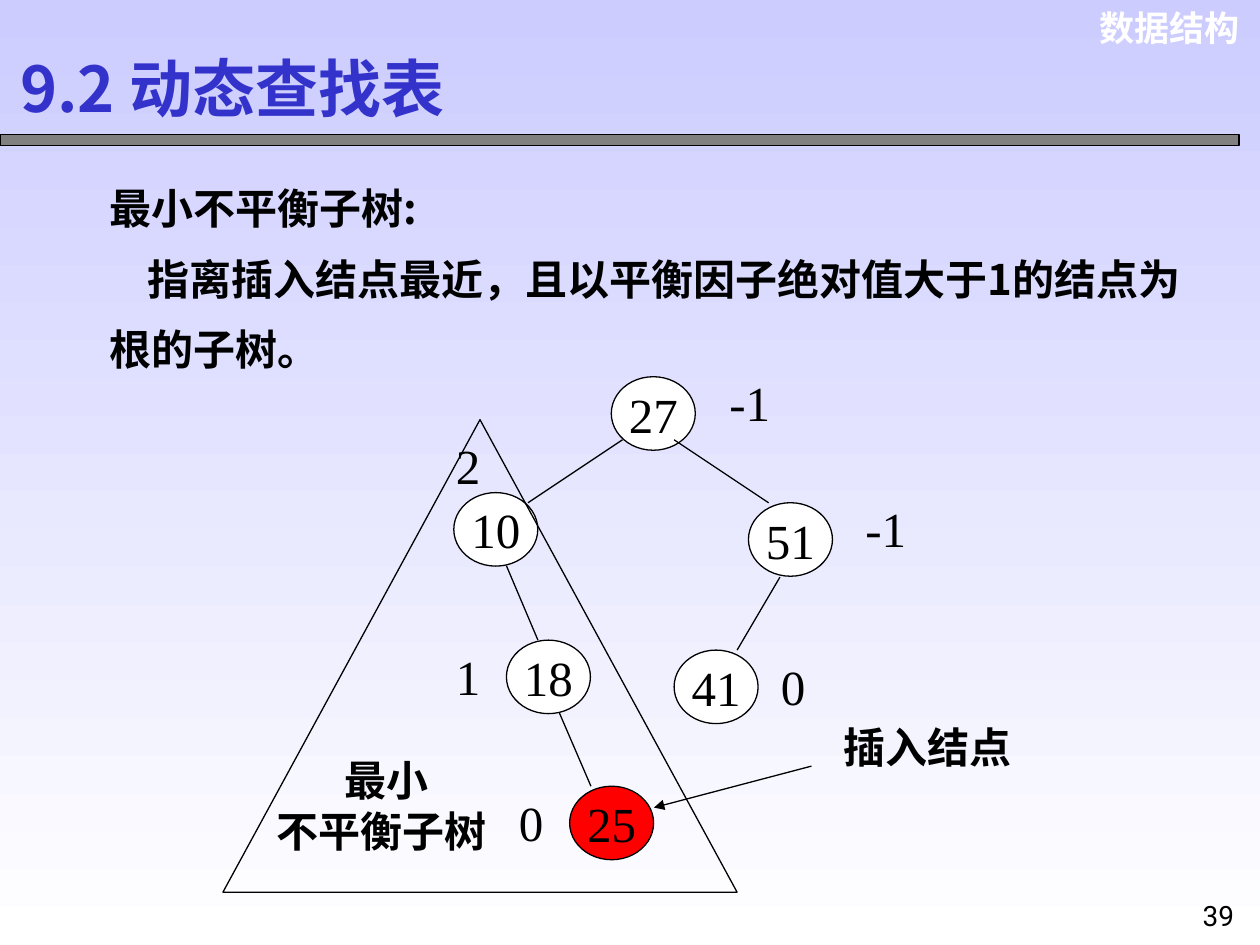
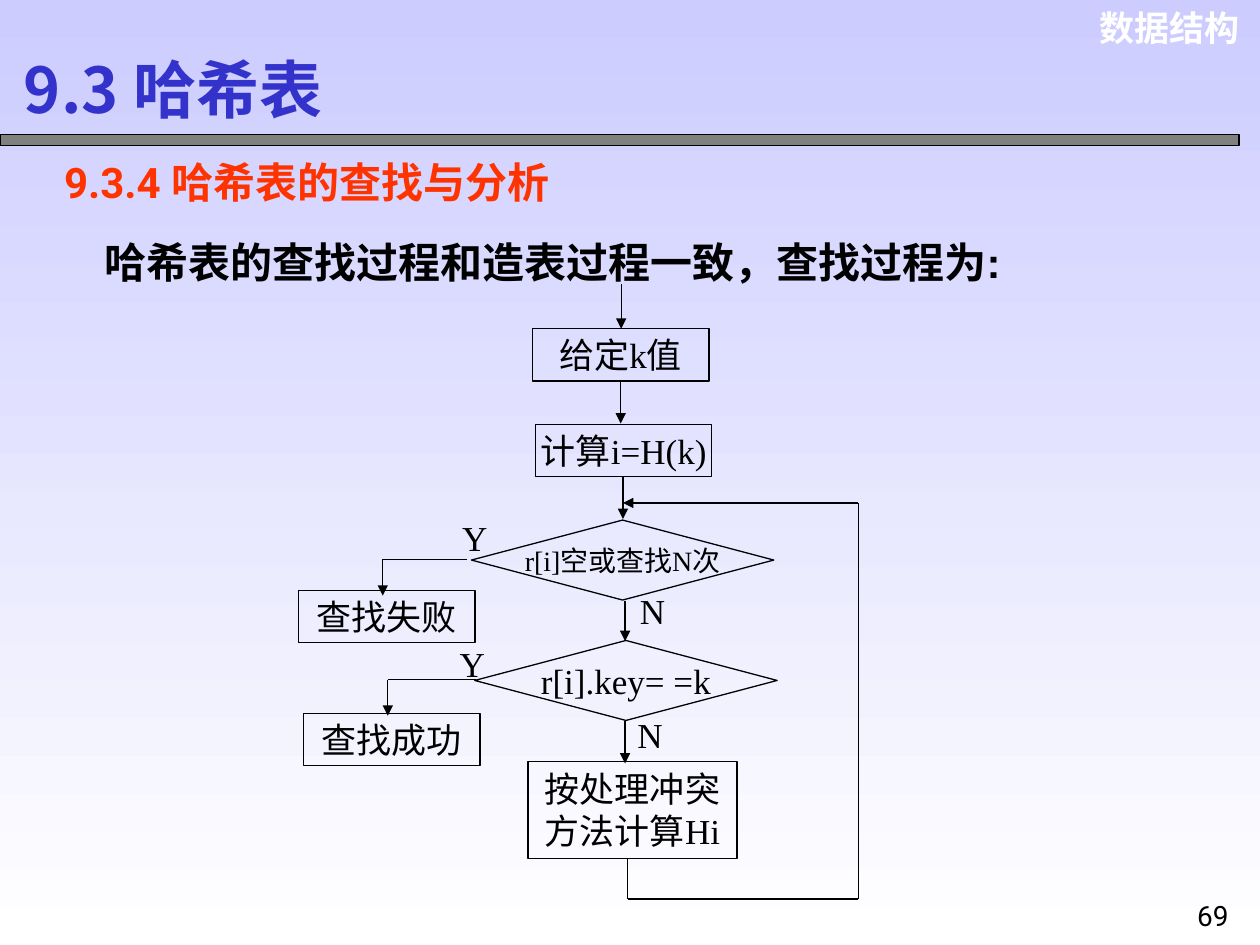
from dataclasses import dataclass, field
from itertools import pairwise

from lxml.etree import SubElement
from pptx import Presentation
from pptx.dml.color import RGBColor
from pptx.enum.shapes import MSO_CONNECTOR, MSO_SHAPE
from pptx.enum.text import MSO_ANCHOR, PP_ALIGN
from pptx.oxml.ns import qn
from pptx.util import Pt


@dataclass(frozen=True)
class Theme:
    background_top: str = "CCCCFF"
    white: str = "FFFFFF"
    black: str = "000000"
    bar: str = "808080"
    inserted: str = "FF0000"
    line_width: float = 0.75
    east_asian_font: str = "Noto Sans CJK SC"
    # Text roles: font, size, bold, colour
    text: dict = field(default_factory=lambda: {
        "title": ("Noto Sans CJK SC", 36, True, "3333CC"),
        "header": ("Arial", 20, True, "FFFFFF"),
        "heading": ("Roboto", 24, True, "FF3300"),
        "body": ("Noto Sans CJK SC", 24, True, "000000"),
        "lead": ("Arial", 24, True, "000000"),
        "node": ("Times New Roman", 28, False, "000000"),
        "flow": ("Times New Roman", 20, False, "000000"),
        "flow small": ("Times New Roman", 16, False, "000000"),
        "page": ("Roboto", 16, False, "000000"),
    })


THEME = Theme()


# ---- Text ----

def color(value):
    return RGBColor.from_string(value)


def points(values):
    return [Pt(value) for value in values]


def write_text(text_frame, text, role, align=PP_ALIGN.LEFT, spacing=None, indents=()):
    """Write one paragraph per line; indents are first-line indents by line."""
    name, size, bold, rgb = THEME.text[role]
    font_format = {"name": name, "size": Pt(size), "bold": bold}
    for number, line in enumerate(text.split("\n")):
        paragraph = text_frame.paragraphs[0] if number == 0 else text_frame.add_paragraph()
        paragraph.alignment = align
        if spacing:
            paragraph.line_spacing = spacing
        if number < len(indents):
            paragraph._p.get_or_add_pPr().set("indent", str(Pt(indents[number])))
        run = paragraph.add_run()
        run.text = line
        for attribute, value in font_format.items():
            setattr(run.font, attribute, value)
        run.font.color.rgb = color(rgb)
        SubElement(run._r.get_or_add_rPr(), qn("a:ea"), typeface=THEME.east_asian_font)


def add_text(slide, box, text, role, wrap=True, **layout):
    text_frame = slide.shapes.add_textbox(*points(box)).text_frame
    text_frame.word_wrap = wrap
    write_text(text_frame, text, role, **layout)


# ---- Shapes and lines ----

def add_outlined(slide, kind, box, fill=None, text=None, role=None):
    shape = slide.shapes.add_shape(kind, *points(box))
    shape.shadow.inherit = False
    if fill:
        shape.fill.solid()
        shape.fill.fore_color.rgb = color(fill)
    else:
        shape.fill.background()
    shape.line.color.rgb = color(THEME.black)
    shape.line.width = Pt(THEME.line_width)
    if text:
        text_frame = shape.text_frame
        text_frame.word_wrap = False
        text_frame.vertical_anchor = MSO_ANCHOR.MIDDLE
        write_text(text_frame, text, role, PP_ALIGN.CENTER)


def add_route(slide, *stops, arrow=False):
    """Join the stops with straight lines, with an arrowhead at the last one."""
    for start, end in pairwise(stops):
        connector = slide.shapes.add_connector(
            MSO_CONNECTOR.STRAIGHT, *points((*start, *end)))
        connector.line.color.rgb = color(THEME.black)
        connector.line.width = Pt(THEME.line_width)
        properties = connector._element.spPr
        if arrow and end == stops[-1]:
            SubElement(properties.find(qn("a:ln")), qn("a:tailEnd"), type="triangle")
        SubElement(properties, qn("a:effectLst"))


# ---- Shared slide frame ----

def set_background(presentation):
    fill = presentation.slide_master.background.fill
    fill.gradient()
    fill.gradient_angle = 270
    for stop, position, rgb in zip(
            fill.gradient_stops, (0, 1), (THEME.background_top, THEME.white)):
        stop.position = position
        stop.color.rgb = color(rgb)


def add_framed_slide(presentation, title, title_box, anchor, page, page_box):
    slide = presentation.slides.add_slide(presentation.slide_layouts[5])
    placeholder = slide.shapes.title
    for attribute, value in zip(("left", "top", "width", "height"), points(title_box)):
        setattr(placeholder, attribute, value)
    placeholder.text_frame.vertical_anchor = anchor
    write_text(placeholder.text_frame, title, "title")
    add_text(slide, (617, 0, 98.6, 31.7), "数据结构", "header", align=PP_ALIGN.RIGHT)
    add_outlined(slide, MSO_SHAPE.RECTANGLE, (0, 77, 708, 6), THEME.bar)
    add_text(slide, page_box, page, "page", align=PP_ALIGN.CENTER)
    return slide


# ---- Slide: smallest unbalanced subtree ----

def build_tree_slide(presentation):
    slide = add_framed_slide(
        presentation, "9.2 动态查找表", (4.3, 24.5, 279.4, 93.6), MSO_ANCHOR.TOP,
        "39", (678.2, 509.8, 36, 30.2))
    add_text(slide, (55.4, 89.3, 633.6, 128.2),
             "最小不平衡子树:\n指离插入结点最近，且以平衡因子绝对值大于1的结点为根的子树。",
             "body", spacing=1.4, indents=(0, 21.7))

    # Nodes
    nodes = {"27": (349.3, 215.3), "10": (259.3, 281.5), "51": (427.7, 287.3),
             "18": (289.4, 365.8), "41": (385.2, 371.5), "25": (325.5, 449.3)}
    for key, corner in nodes.items():
        fill = THEME.inserted if key == "25" else THEME.white
        add_outlined(slide, MSO_SHAPE.OVAL, (*corner, 48, 42), fill, key, "node")

    # Branches
    branches = [((355.7, 251.3), (301.7, 287.3)), ((385.2, 251.3), (439.2, 287.3)),
                ((289.4, 323.3), (307.4, 365.8)), ((319.7, 407.5), (337.7, 449.3)),
                ((445.7, 329.8), (421.2, 371.5))]
    for parent, child in branches:
        add_route(slide, parent, child)

    # Balance factors
    balance_factors = [("-1", 409.7, 209.5), ("2", 253.4, 245.5), ("-1", 487.4, 281.5),
                       ("1", 253.4, 365.8), ("0", 439.2, 371.5), ("0", 289.4, 449.3)]
    for factor, left, top in balance_factors:
        width = 30 if factor == "0" else 42
        add_text(slide, (left, top, width, 41), factor, "node")

    # Subtree outline and captions
    add_outlined(slide, MSO_SHAPE.ISOSCELES_TRIANGLE, (127.4, 239.8, 293.8, 270))
    add_text(slide, (139.7, 427.7, 156.2, 64.8), "最小\n不平衡子树", "body",
             align=PP_ALIGN.CENTER, indents=(6,))
    add_route(slide, (463.7, 437.8), (373.7, 461.5), arrow=True)
    add_text(slide, (475.2, 409, 139.7, 36), "插入结点", "body")


# ---- Slide: hash table search ----

def build_hash_slide(presentation):
    slide = add_framed_slide(
        presentation, "9.3 哈希表", (6.5, 26.6, 230.4, 48.2), MSO_ANCHOR.MIDDLE,
        "69", (671.8, 509.8, 42.5, 30.2))
    add_text(slide, (29.5, 85.7, 313.2, 36), "9.3.4 哈希表的查找与分析", "heading")
    add_text(slide, (31.7, 108.7, 651.6, 59), "哈希表的查找过程和造表过程一致，查找过程为:",
             "lead", spacing=1.8, indents=(21,))

    # Steps and tests
    process, decision = MSO_SHAPE.FLOWCHART_PROCESS, MSO_SHAPE.FLOWCHART_DECISION
    step_size, test_size = (100.8, 29.8), (172.8, 45.7)
    steps = [
        (process, (304.3, 187.9), step_size, "给定k值", "flow"),
        (process, (306, 242.6), step_size, "计算i=H(k)", "flow"),
        (decision, (269.4, 297.2), test_size, "r[i]空或查找N次", "flow small"),
        (decision, (271.3, 366), test_size, "r[i].key= =k", "flow"),
        (process, (170.6, 337.5), step_size, "查找失败", "flow"),
        (process, (173.5, 407.6), step_size, "查找成功", "flow"),
        (process, (301.7, 435.1), (119.5, 55.4), "按处理冲突\n方法计算Hi", "flow"),
    ]
    for kind, corner, size, text, role in steps:
        add_outlined(slide, kind, (*corner, *size), None, text, role)

    # Downward arrows
    for x, top, bottom in [(355, 162, 187.9), (354.7, 217.5, 242), (356, 272.4, 296.6),
                           (357.2, 343.4, 366.4), (357.2, 411.8, 436.3)]:
        add_route(slide, (x, top), (x, bottom), arrow=True)

    # Exits to the left and the loop back
    add_route(slide, (266.6, 319.7), (218.7, 319.7), (218.7, 340.4), arrow=True)
    add_route(slide, (272.2, 388.4), (221.6, 388.4), (221.6, 409), arrow=True)
    add_route(slide, (358.6, 490.5), (358.6, 513.8), (490.4, 513.8),
              (490.4, 287.4), (356, 287.4), arrow=True)

    # Answers
    for answer, left, top in [("Y", 257, 291.6), ("N", 358.6, 333.4),
                              ("Y", 255.6, 363.6), ("N", 357.1, 404)]:
        add_text(slide, (left, top, 28.8, 31.7), answer, "flow", wrap=False)


def main():
    presentation = Presentation()
    presentation.slide_width, presentation.slide_height = Pt(720), Pt(540)
    set_background(presentation)
    build_tree_slide(presentation)
    build_hash_slide(presentation)
    presentation.save("out.pptx")


if __name__ == "__main__":
    main()
